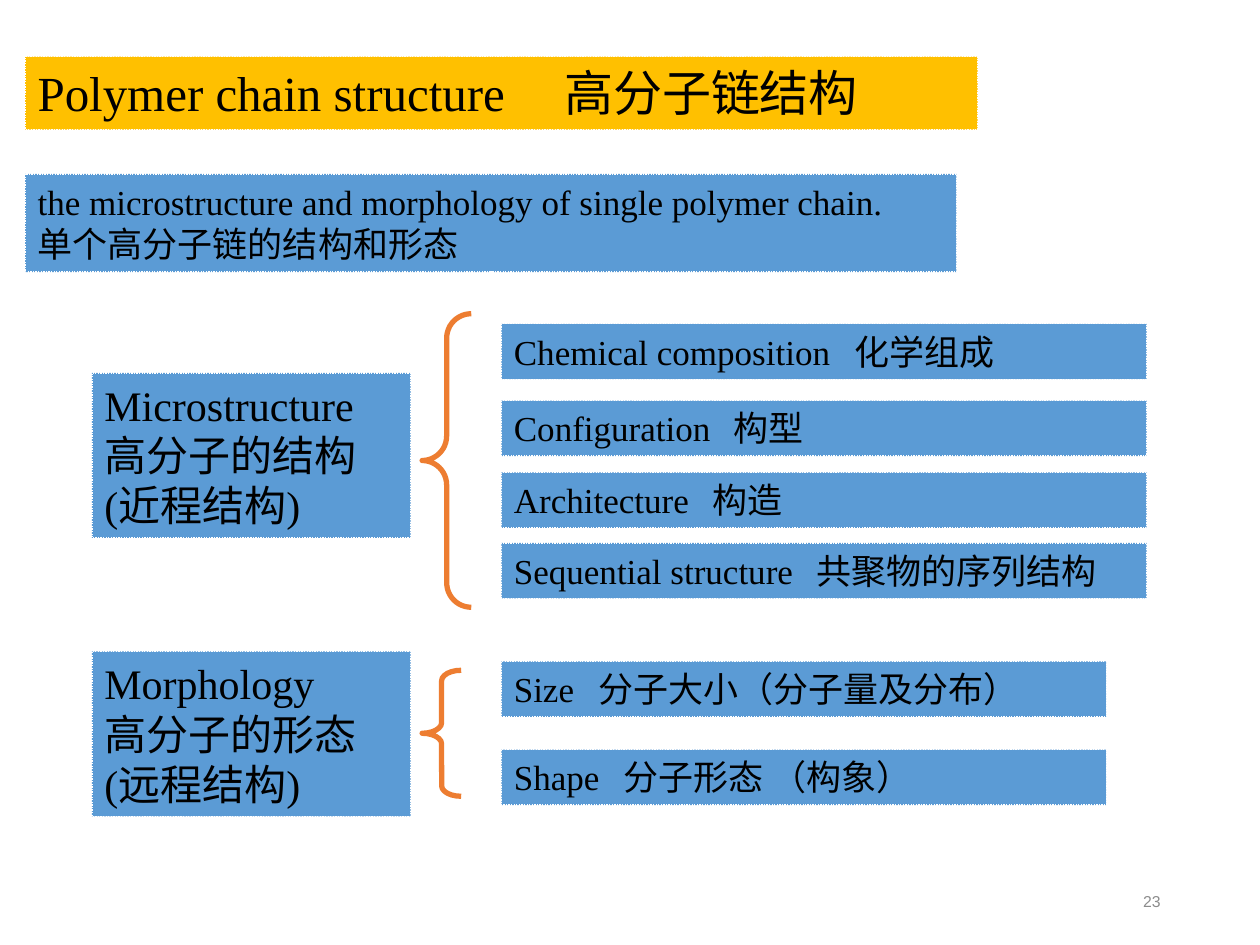
from lxml import etree
from pptx import Presentation
from pptx.dml.color import RGBColor
from pptx.enum.dml import MSO_LINE
from pptx.enum.shapes import MSO_SHAPE
from pptx.enum.text import MSO_ANCHOR, MSO_AUTO_SIZE, PP_ALIGN
from pptx.oxml.ns import qn
from pptx.util import Inches, Pt

RECTANGLE, LEFT_BRACE = MSO_SHAPE.RECTANGLE, MSO_SHAPE.LEFT_BRACE
DOTTED = MSO_LINE.ROUND_DOT
TOP, MIDDLE = MSO_ANCHOR.TOP, MSO_ANCHOR.MIDDLE
LEFT, RIGHT = PP_ALIGN.LEFT, PP_ALIGN.RIGHT
GROW = MSO_AUTO_SIZE.SHAPE_TO_FIT_TEXT

COLORS = {name: RGBColor.from_string(value) for name, value in {
    "title": "FFC000", "box": "5B9BD5", "edge": "FFFFFF",
    "brace": "ED7D31", "text": "000000", "number": "8C8C8C",
}.items()}

presentation = Presentation()
presentation.slide_width, presentation.slide_height = Inches(10), Inches(7.5)
slide = presentation.slides.add_slide(presentation.slide_layouts[6])

# Grid of 100 columns by 75 rows
COLUMN = presentation.slide_width / 100
ROW = presentation.slide_height / 75


def grid(column, row, columns, rows):
    return (round(column * COLUMN), round(row * ROW),
            round(columns * COLUMN), round(rows * ROW))


def add_box(area, lines, size, fill="box", tab=None):
    """Dotted-edge box; each line is a list of runs, tab is in columns."""
    shape = slide.shapes.add_shape(RECTANGLE, *grid(*area))
    shape.shadow.inherit = False
    shape.fill.solid()
    shape.fill.fore_color.rgb = COLORS[fill]
    shape.line.color.rgb = COLORS["edge"]
    shape.line.width = Pt(0.75)
    shape.line.dash_style = DOTTED
    frame = shape.text_frame
    frame.word_wrap = True
    frame.auto_size = GROW
    frame.vertical_anchor = TOP
    for index, runs in enumerate(lines):
        paragraph = frame.add_paragraph() if index else frame.paragraphs[0]
        paragraph.alignment = LEFT
        if tab:
            properties = paragraph._p.get_or_add_pPr()
            tabs = etree.SubElement(properties, qn("a:tabLst"))
            etree.SubElement(tabs, qn("a:tab"), pos=str(round(tab * COLUMN)), algn="l")
        for text in runs:
            run = paragraph.add_run()
            run.text = text
            run.font.size = Pt(size)
            run.font.name = "Times New Roman"
            run.font.color.rgb = COLORS["text"]


# Title and definition
add_box((2, 4.5, 75.6, 5.8), [["Polymer chain structure", "\t", "高分子链结构"]],
        28, "title", tab=41.8)
add_box((2, 13.8, 73.9, 7.8),
        [["the microstructure and morphology of single polymer chain."],
         ["单个高分子链的结构和形态"]], 20)

# Two branches: topic box, brace, and the items it opens to
branches = [
    (29.6, ["Microstructure", "高分子的结构", "(近程结构)"],
     (33.5, 24.9, 3.9, 23.3), 0.5, 51.2,
     [(25.7, "Chemical composition", "化学组成", 27),
      (31.8, "Configuration", "构型", 17.4),
      (37.5, "Architecture", "构造", 15.8),
      (43.1, "Sequential structure", "共聚物的序列结构", 24)]),
    (51.7, ["Morphology", "高分子的形态", "(远程结构)"],
     (33.5, 53.2, 3.1, 10), 0.27, 48,
     [(52.5, "Size", "分子大小（分子量及分布）", 6.7),
      (59.5, "Shape", "分子形态 （构象）", 8.7)]),
]
for topic_row, topic, brace_area, curve, item_columns, items in branches:
    add_box((7.3, topic_row, 25.3, 13.1), [[line] for line in topic], 24)
    brace = slide.shapes.add_shape(LEFT_BRACE, *grid(*brace_area))
    brace.shadow.inherit = False
    brace.adjustments[0] = curve
    brace.adjustments[1] = 0.5
    brace.fill.background()
    brace.line.color.rgb = COLORS["brace"]
    brace.line.width = Pt(3)
    for item_row, english, chinese, tab in items:
        add_box((39.8, item_row, item_columns, 4.4),
                [[english, "\t", chinese]], 20, tab=tab)

# Slide number
number = slide.shapes.add_textbox(*grid(70.6, 69.5, 22.5, 4))
number.text_frame.word_wrap = True
number.text_frame.vertical_anchor = MIDDLE
paragraph = number.text_frame.paragraphs[0]
paragraph.alignment = RIGHT
run = paragraph.add_run()
run.text = "23"
run.font.size = Pt(9)
run.font.name = "Arial"
run.font.color.rgb = COLORS["number"]

presentation.save("out.pptx")
